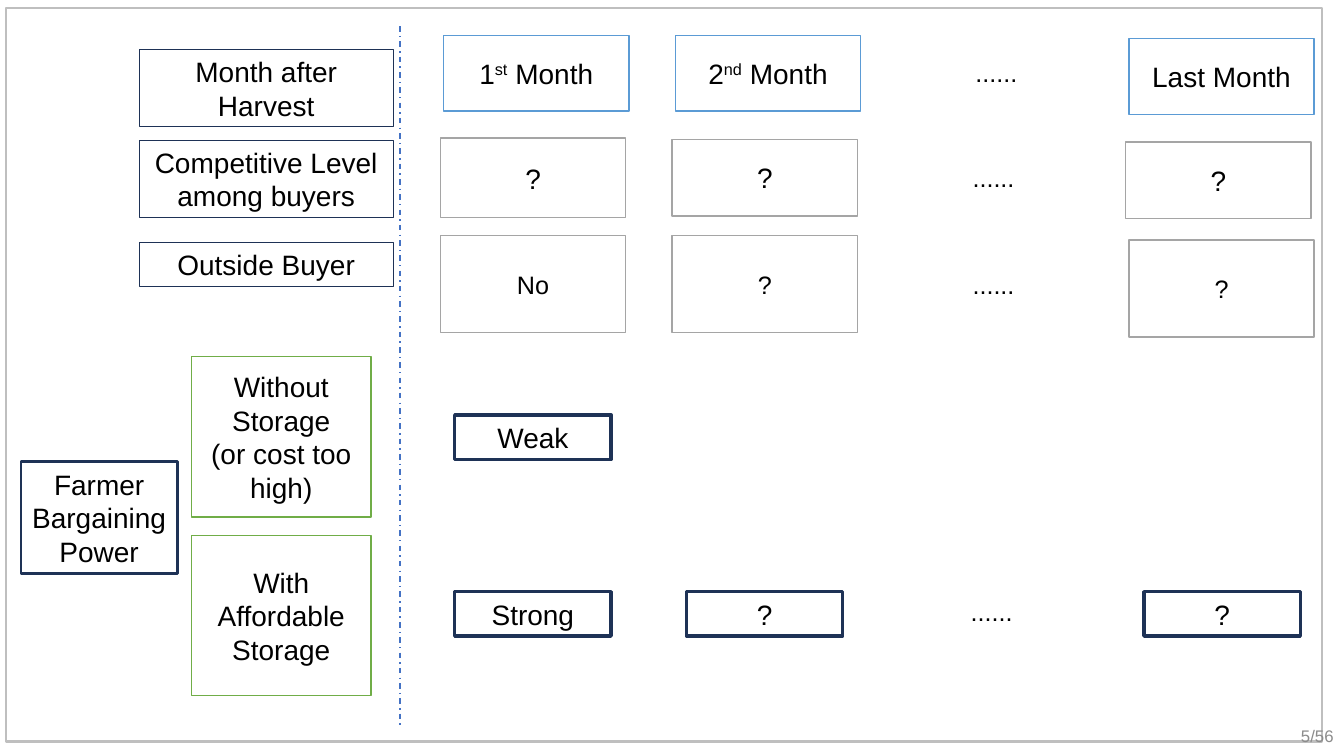
from dataclasses import dataclass

from lxml import etree
from pptx import Presentation
from pptx.dml.color import RGBColor
from pptx.enum import dml, shapes, text
from pptx.oxml.ns import qn
from pptx.util import Cm, Pt


@dataclass(frozen=True)
class Theme:
    font: str = "Arial"
    ink: str = "000000"
    muted: str = "8C8C8C"
    paper: str = "FFFFFF"
    navy: str = "1E3256"
    blue: str = "5B9BD5"
    divider: str = "4472C4"
    green: str = "70AD47"
    gray: str = "A5A5A5"
    frame: str = "BFBFBF"
    large: int = 20
    medium: int = 18
    small: int = 12


T = Theme()

STYLES = {
    "label": (None, T.navy, 0.75, T.large),
    "farmer": (None, T.navy, 2, T.large),
    "power": (None, T.navy, 2.5, T.large),
    "storage": (T.paper, T.green, 1, T.large),
    "month": (T.paper, T.blue, 1, T.large),
    "competition": (T.paper, T.gray, 1, T.large),
    "outside": (T.paper, T.gray, 1, T.medium),
    "frame": (None, T.frame, 1.75, T.large),
}

LABELS = [
    ("Month after Harvest", 1.24, 1.96),
    ("Competitive Level among buyers", 3.53, 1.96),
    ("Outside Buyer", 6.1, 1.12),
]
STORAGE = ["Without Storage\n(or cost too high)", "With Affordable Storage"]

MONTH_ROWS = [
    ("month", [("1^st^ Month", 11.18, 0.89, 1.91),
               ("2^nd^ Month", 17.02, 0.89, 1.91),
               ("Last Month", 28.45, 0.97, 1.91)]),
    ("competition", [("?", 11.1, 3.48, 2.01),
                     ("?", 16.94, 3.51, 1.93),
                     ("?", 28.37, 3.58, 1.93)]),
    ("outside", [("No", 11.1, 5.94, 2.44),
                 ("?", 16.94, 5.94, 2.44),
                 ("?", 28.45, 6.05, 2.44)]),
]
POWER = [("Weak", 11.46, 10.46), ("Strong", 11.46, 14.91),
         ("?", 17.3, 14.91), ("?", 28.83, 14.91)]
DOTS = [(24.33, 1.32), (24.26, 3.96), (24.26, 6.65), (24.21, 14.91)]

LABEL_LEFT, LABEL_WIDTH = 3.51, 6.4
STORAGE_LEFT, STORAGE_TOP, STORAGE_STEP = 4.83, 8.99, 4.5
STORAGE_WIDTH, STORAGE_HEIGHT = 4.52, 4.04
MONTH_WIDTH = 4.67
POWER_WIDTH, POWER_HEIGHT = 3.94, 1.12
DIVIDER_X, DIVIDER_TOP, DIVIDER_BOTTOM = 10.08, 0.66, 18.26


def color(value):
    return RGBColor.from_string(value)


def write(sp, words, size, ink=T.ink, align=text.PP_ALIGN.CENTER, wrap=True):
    tf = sp.text_frame
    tf.word_wrap = wrap
    tf.vertical_anchor = text.MSO_ANCHOR.MIDDLE
    for i, line in enumerate(words.split("\n")):
        p = tf.add_paragraph() if i else tf.paragraphs[0]
        p.alignment = align
        for j, part in enumerate(line.split("^")):
            r = p.add_run()
            r.text = part
            r.font.name, r.font.size = T.font, Pt(size)
            r.font.color.rgb = color(ink)
            if j % 2:
                r._r.get_or_add_rPr().set("baseline", "30000")


def add_box(s, style, words, *place):
    fill, line, weight, size = STYLES[style]
    sp = s.shapes.add_shape(shapes.MSO_SHAPE.RECTANGLE, *map(Cm, place))
    sp.shadow.inherit = False
    if fill:
        sp.fill.solid()
        sp.fill.fore_color.rgb = color(fill)
    else:
        sp.fill.background()
    sp.line.color.rgb = color(line)
    sp.line.width = Pt(weight)
    if words:
        write(sp, words, size)


def add_divider(s):
    line = s.shapes.add_connector(
        shapes.MSO_CONNECTOR.STRAIGHT,
        *map(Cm, (DIVIDER_X, DIVIDER_TOP, DIVIDER_X, DIVIDER_BOTTOM)))
    line.line.color.rgb = color(T.divider)
    line.line.width = Pt(1)
    line.line.dash_style = dml.MSO_LINE.DASH_DOT
    etree.SubElement(line._element.spPr, qn("a:effectLst"))


def main():
    prs = Presentation()
    prs.slide_width, prs.slide_height = Cm(33.87), Cm(19.05)
    s = prs.slides.add_slide(prs.slide_layouts[6])

    add_box(s, "frame", "", 0.15, 0.2, 33.17, 18.49)
    add_divider(s)
    for words, top, height in LABELS:
        add_box(s, "label", words, LABEL_LEFT, top, LABEL_WIDTH, height)
    add_box(s, "farmer", "Farmer Bargaining Power", 0.53, 11.63, 3.94, 2.82)
    for i, words in enumerate(STORAGE):
        add_box(s, "storage", words, STORAGE_LEFT,
                STORAGE_TOP + i * STORAGE_STEP, STORAGE_WIDTH, STORAGE_HEIGHT)
    for style, cells in MONTH_ROWS:
        for words, left, top, height in cells:
            add_box(s, style, words, left, top, MONTH_WIDTH, height)
    for words, left, top in POWER:
        add_box(s, "power", words, left, top, POWER_WIDTH, POWER_HEIGHT)
    for left, top in DOTS:
        dots = s.shapes.add_textbox(*map(Cm, (left, top, 1.57, 1.02)))
        write(dots, "......", T.medium, align=text.PP_ALIGN.LEFT, wrap=False)
    number = s.shapes.add_textbox(*map(Cm, (26.24, 18.03, 7.62, 1.02)))
    write(number, "5/56", T.small, T.muted, text.PP_ALIGN.RIGHT)

    prs.save("out.pptx")


if __name__ == "__main__":
    main()
